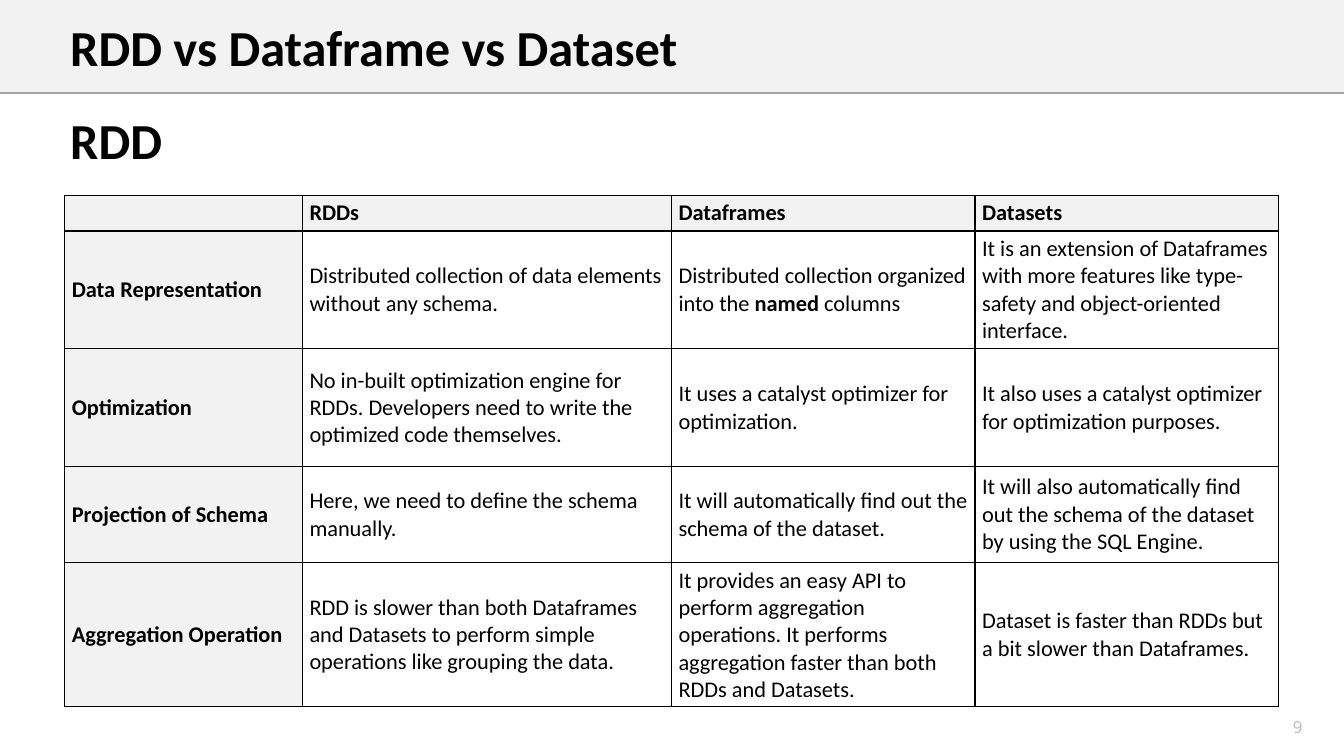
from lxml import etree
from pptx import Presentation
from pptx.dml.color import RGBColor
from pptx.enum.shapes import MSO_CONNECTOR, MSO_SHAPE
from pptx.enum.text import MSO_ANCHOR, PP_ALIGN
from pptx.oxml.ns import qn
from pptx.util import Cm, Pt

RECTANGLE = MSO_SHAPE.RECTANGLE
STRAIGHT = MSO_CONNECTOR.STRAIGHT
MIDDLE = MSO_ANCHOR.MIDDLE
LEFT, CENTER = PP_ALIGN.LEFT, PP_ALIGN.CENTER

TITLE = "RDD vs Dataframe vs Dataset"
SUBTITLE = "RDD"
PAGE_NUMBER = "9"
HEADER = ("", "RDDs", "Dataframes", "Datasets")
ROWS = [
    ("Data Representation",
     "Distributed collection of data elements without any schema.",
     ("Distributed collection organized into the ", "named", " columns"),
     "It is an extension of Dataframes with more features like type-safety "
     "and object-oriented interface."),
    ("Optimization",
     "No in-built optimization engine for RDDs. Developers need to write the "
     "optimized code themselves.",
     "It uses a catalyst optimizer for optimization.",
     "It also uses a catalyst optimizer for optimization purposes."),
    ("Projection of Schema",
     "Here, we need to define the schema manually.",
     "It will automatically find out the schema of the dataset.",
     "It will also automatically find out the schema of the dataset by using "
     "the SQL Engine."),
    ("Aggregation Operation",
     "RDD is slower than both Dataframes and Datasets to perform simple "
     "operations like grouping the data.",
     "It provides an easy API to perform aggregation operations. It performs "
     "aggregation faster than both RDDs and Datasets.",
     "Dataset is faster than RDDs but a bit slower than Dataframes."),
]


class Theme:
    font = "Calibri"
    number_font = "Noto Sans Mono"
    ink = "000000"
    paper = "FFFFFF"
    band = "F2F2F2"
    rule = "A6A6A6"
    number = "BFBFBF"
    heading_size = 36
    table_size = 16
    number_size = 12
    line_width = 1


PAGE_WIDTH, PAGE_HEIGHT = 33.87, 19.05
BAND_HEIGHT = 2.34
TABLE_LEFT, TABLE_TOP = 1.63, 4.93
COLUMN_WIDTHS = (5.99, 9.3, 7.65, 7.65)
ROW_HEIGHTS = (0.89, 2.97, 2.97, 2.42, 3.63)
CELL_SIDE, CELL_END = 0.18, 0.1


def add_span(para, text, size, bold=False, font=Theme.font, color=Theme.ink):
    span = para.add_run()
    span.text = text
    span.font.name = font
    span.font.size = Pt(size)
    span.font.bold = bold
    span.font.color.rgb = RGBColor.from_string(color)


def add_text(page, place, text, size, align=LEFT, **style):
    box = page.shapes.add_textbox(*map(Cm, place))
    frame = box.text_frame
    frame.word_wrap = True
    frame.vertical_anchor = MIDDLE
    para = frame.paragraphs[0]
    para.alignment = align
    add_span(para, text, size, **style)


def add_borders(cell):
    properties = cell._tc.get_or_add_tcPr()
    for side in ("a:lnL", "a:lnR", "a:lnT", "a:lnB"):
        line = etree.SubElement(properties, qn(side), w=str(Pt(Theme.line_width)))
        fill = etree.SubElement(line, qn("a:solidFill"))
        etree.SubElement(fill, qn("a:srgbClr"), val=Theme.ink)


def fill_cell(cell, content, heading):
    add_borders(cell)
    cell.fill.solid()
    cell.fill.fore_color.rgb = RGBColor.from_string(Theme.band if heading else Theme.paper)
    cell.vertical_anchor = MIDDLE
    cell.margin_left = cell.margin_right = Cm(CELL_SIDE)
    cell.margin_top = cell.margin_bottom = Cm(CELL_END)
    para = cell.text_frame.paragraphs[0]
    if not content:
        etree.SubElement(para._p, qn("a:endParaRPr"), sz=str(Theme.table_size * 100))
        return
    parts = (content,) if isinstance(content, str) else content
    for index, part in enumerate(parts):
        add_span(para, part, Theme.table_size, bold=heading or index % 2 == 1)


def add_band(page):
    band = page.shapes.add_shape(RECTANGLE, 0, 0, Cm(PAGE_WIDTH), Cm(BAND_HEIGHT))
    band.shadow.inherit = False
    band.fill.solid()
    band.fill.fore_color.rgb = RGBColor.from_string(Theme.band)
    band.line.fill.background()
    rule = page.shapes.add_connector(
        STRAIGHT, 0, Cm(BAND_HEIGHT), Cm(PAGE_WIDTH), Cm(BAND_HEIGHT))
    rule.line.color.rgb = RGBColor.from_string(Theme.rule)
    rule.line.width = Pt(Theme.line_width)
    etree.SubElement(rule._element.spPr, qn("a:effectLst"))


def add_comparison(page):
    grid = [HEADER, *ROWS]
    table = page.shapes.add_table(
        len(grid), len(HEADER), Cm(TABLE_LEFT), Cm(TABLE_TOP),
        Cm(sum(COLUMN_WIDTHS)), Cm(sum(ROW_HEIGHTS))).table
    for column, width in zip(table.columns, COLUMN_WIDTHS):
        column.width = Cm(width)
    for row, height in zip(table.rows, ROW_HEIGHTS):
        row.height = Cm(height)
    for r, contents in enumerate(grid):
        for c, content in enumerate(contents):
            fill_cell(table.cell(r, c), content, heading=r == 0 or c == 0)


def main():
    deck = Presentation()
    deck.slide_width, deck.slide_height = Cm(PAGE_WIDTH), Cm(PAGE_HEIGHT)
    page = deck.slides.add_slide(deck.slide_layouts[6])
    add_band(page)
    add_text(page, (31.6, 17.93, 2.21, 0.79), PAGE_NUMBER, Theme.number_size,
             align=CENTER, font=Theme.number_font, color=Theme.number)
    for index, heading in enumerate((TITLE, SUBTITLE)):
        add_text(page, (1.52, index * BAND_HEIGHT, 28, BAND_HEIGHT), heading,
                 Theme.heading_size, bold=True)
    add_comparison(page)
    deck.save("out.pptx")


if __name__ == "__main__":
    main()
